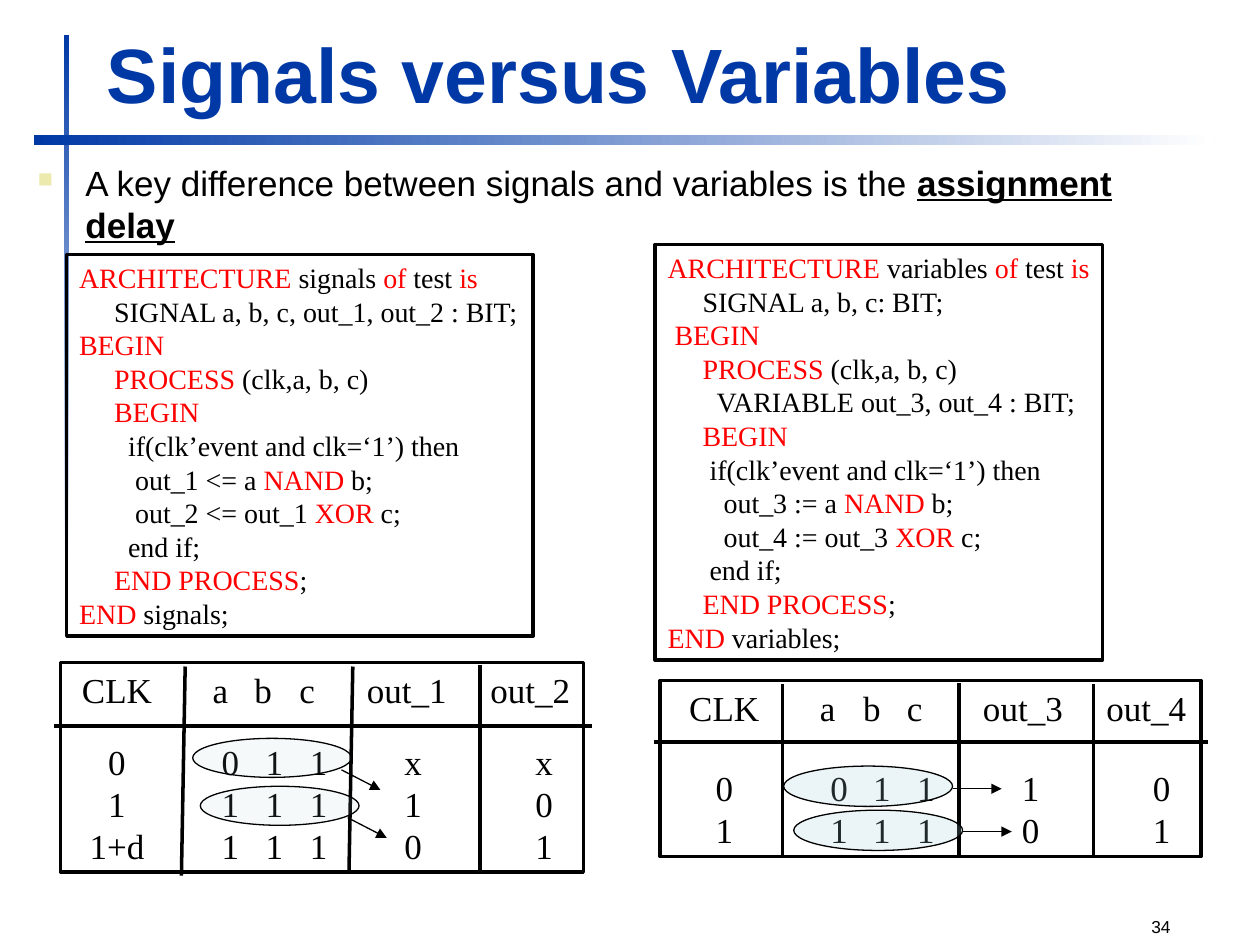
from dataclasses import dataclass

from lxml import etree
from pptx import Presentation
from pptx.dml.color import RGBColor
from pptx.enum.shapes import MSO_CONNECTOR, MSO_SHAPE
from pptx.enum.text import MSO_ANCHOR, PP_ALIGN
from pptx.oxml.ns import qn
from pptx.util import Inches, Pt

RECT, OVAL = MSO_SHAPE.RECTANGLE, MSO_SHAPE.OVAL
STRAIGHT = MSO_CONNECTOR.STRAIGHT
TOP, BOTTOM, LEFT = MSO_ANCHOR.TOP, MSO_ANCHOR.BOTTOM, PP_ALIGN.LEFT
COLORS = {"blue": "0039A6", "white": "FFFFFF", "black": "000000",
          "red": "FF0000", "bullet": "ECEAAC", "oval": "9FCAD3"}
SANS, SERIF = "Arial", "Times New Roman"
Box = tuple[float, float, float, float]
Line = tuple[float, float, float, float]


@dataclass
class CodeBox:
    box: Box
    lines: list[tuple[int, str]]  # indent in spaces, text with *keywords*


@dataclass
class TruthTable:
    box: Box
    head_stops: list[float]
    row_stops: list[float]
    rows: list[str]
    gap: float
    rules: list[Line]


@dataclass
class Highlight:
    oval: Box
    opacity: int
    arrow: Line


CODE_BOXES = [
    CodeBox((0.53, 2.02, 3.7, 3.03), [
        (0, "*ARCHITECTURE* signals *of* test *is*"),
        (5, "SIGNAL a, b, c, out_1, out_2 : BIT;"),
        (0, "*BEGIN*"),
        (5, "*PROCESS* (clk,a, b, c)"),
        (5, "*BEGIN*"),
        (7, "if(clk’event and clk=‘1’) then"),
        (8, "out_1 <= a *NAND* b;"),
        (8, "out_2 <= out_1 *XOR* c;"),
        (7, "end if;"),
        (5, "*END PROCESS*;"),
        (0, "*END* signals;")]),
    CodeBox((5.2, 1.94, 3.55, 3.3), [
        (0, "*ARCHITECTURE* variables *of* test *is*"),
        (5, "SIGNAL a, b, c: BIT;"),
        (1, "*BEGIN*"),
        (5, "*PROCESS* (clk,a, b, c)"),
        (7, "VARIABLE out_3, out_4 : BIT;"),
        (5, "*BEGIN*"),
        (6, "if(clk’event and clk=‘1’) then"),
        (8, "out_3 := a *NAND* b;"),
        (8, "out_4 := out_3 *XOR* c;"),
        (6, "end if;"),
        (5, "*END PROCESS*;"),
        (0, "*END* variables;")]),
]

TRUTH_TABLES = [
    TruthTable((0.48, 5.26, 4.15, 1.66),
               [0.35, 1.17, 1.51, 1.86, 2.65, 3.63],
               [0.35, 1.25, 1.6, 1.95, 2.7, 3.74],
               ["CLK a b c out_1 out_2", "0 0 1 1 x x", "1 1 1 1 1 0", "1+d 1 1 1 0 1"], 16.8,
               [(1.47, 5.29, 1.44, 6.95), (2.8, 5.29, 2.77, 6.92),
                (3.81, 5.28, 3.81, 6.94), (0.43, 5.76, 4.7, 5.76)]),
    TruthTable((5.24, 5.4, 4.29, 1.4),
               [0.41, 1.23, 1.58, 1.92, 2.78, 3.76],
               [0.41, 1.32, 1.66, 2.01, 2.84, 3.88],
               ["CLK a b c out_3 out_4", "0 0 1 1 1 0", "1 1 1 1 0 1"], 21.6,
               [(6.21, 5.43, 6.21, 6.79), (7.61, 5.42, 7.61, 6.79),
                (8.68, 5.43, 8.68, 6.79), (5.19, 5.89, 9.59, 5.89)]),
]

HIGHLIGHTS = [
    Highlight((1.53, 5.86, 1.26, 0.31), 10, (2.71, 6.11, 3.02, 6.27)),
    Highlight((6.22, 6.08, 1.34, 0.32), 20, (7.56, 6.26, 7.95, 6.26)),
    Highlight((1.59, 6.24, 1.26, 0.31), 10, (2.76, 6.49, 3.07, 6.65)),
    Highlight((6.3, 6.43, 1.34, 0.32), 20, (7.64, 6.6, 8.03, 6.6)),
]


def rgb(name: str) -> RGBColor:
    return RGBColor.from_string(COLORS[name])


def add_run(p, text: str, color: str, **font) -> None:
    r = p.add_run()
    r.text = text
    for name, value in font.items():
        setattr(r.font, name, value)
    r.font.color.rgb = rgb(color)


def add_shape(s, kind, box: Box, width: float = 0):
    sp = s.shapes.add_shape(kind, *map(Inches, box))
    sp.shadow.inherit = False
    sp.fill.background()
    if width:
        sp.line.color.rgb, sp.line.width = rgb("black"), Pt(width)
    else:
        sp.line.fill.background()
    return sp


def add_text(s, box: Box, anchor=TOP):
    tf = s.shapes.add_textbox(*map(Inches, box)).text_frame
    tf.word_wrap, tf.vertical_anchor = True, anchor
    return tf.paragraphs[0]


def add_bar(s, box: Box, angle: int) -> None:
    sp = add_shape(s, RECT, box)
    sp.fill.gradient()
    sp.fill.gradient_angle = angle
    for stop, color, pos in zip(sp.fill.gradient_stops, ("blue", "white"), (0, 1)):
        stop.color.rgb, stop.position = rgb(color), pos


def add_line(s, ends: Line, width: float, arrow: bool = False) -> None:
    c = s.shapes.add_connector(STRAIGHT, *map(Inches, ends))
    c.line.color.rgb, c.line.width = rgb("black"), Pt(width)
    if arrow:
        etree.SubElement(c.line._get_or_add_ln(), qn("a:tailEnd"), type="triangle")
    etree.SubElement(c._element.spPr, qn("a:effectLst"))


def framed_paragraphs(s, box: Box, count: int, wrap: bool, pitch: float) -> list:
    tf = add_shape(s, RECT, box, 2).text_frame
    tf.word_wrap, tf.vertical_anchor = wrap, TOP
    paras = [tf.paragraphs[0]] + [tf.add_paragraph() for _ in range(count - 1)]
    for p in paras:
        p.alignment, p.line_spacing = LEFT, Pt(pitch)
    return paras


def add_code(s, code: CodeBox) -> None:
    paras = framed_paragraphs(s, code.box, len(code.lines), False, 19.2)
    for p, (indent, text) in zip(paras, code.lines):
        p._p.get_or_add_pPr().set("marL", str(Inches(indent / 18)))
        for i, part in enumerate(text.split("*")):
            if part:
                add_run(p, part, "red" if i % 2 else "black", name=SERIF, size=Pt(16))


def add_truth_table(s, table: TruthTable) -> None:
    paras = framed_paragraphs(s, table.box, len(table.rows), True, 24)
    paras[1].space_before = Pt(table.gap)
    for i, (p, row) in enumerate(zip(paras, table.rows)):
        tabs = etree.SubElement(p._p.get_or_add_pPr(), qn("a:tabLst"))
        for stop in table.row_stops if i else table.head_stops:
            etree.SubElement(tabs, qn("a:tab"), pos=str(Inches(stop)), algn="ctr")
        text = "".join("\t" + cell for cell in row.split())
        add_run(p, text, "black", name=SERIF, size=Pt(20))
    for rule in table.rules:
        add_line(s, rule, 2)


def add_highlight(s, h: Highlight) -> None:
    sp = add_shape(s, OVAL, h.oval, 0.75)
    sp.fill.solid()
    sp.fill.fore_color.rgb = rgb("oval")
    clr = sp._element.spPr.find(qn("a:solidFill")).find(qn("a:srgbClr"))
    etree.SubElement(clr, qn("a:alpha"), val=str(h.opacity * 1000))
    add_line(s, h.arrow, 0.75, arrow=True)


def add_key_point(s) -> None:
    p = add_text(s, (0.2, 1.23, 9, 0.8))
    p.space_before, p.line_spacing = Pt(5), Pt(24)
    pPr = p._p.get_or_add_pPr()
    pPr.set("marL", str(Inches(0.38)))
    pPr.set("indent", str(Inches(-0.38)))
    clr = etree.SubElement(pPr, qn("a:buClr"))
    etree.SubElement(clr, qn("a:srgbClr"), val=COLORS["bullet"])
    etree.SubElement(pPr, qn("a:buSzPct"), val="60000")
    etree.SubElement(pPr, qn("a:buChar"), char="■")
    font = {"name": SANS, "size": Pt(20)}
    add_run(p, "A key difference between signals and variables is the ", "black", **font)
    add_run(p, "assignment delay", "black", bold=True, underline=True, **font)


def main() -> None:
    prs = Presentation()
    prs.slide_width, prs.slide_height = Inches(10), Inches(7.5)
    s = prs.slides.add_slide(prs.slide_layouts[6])
    # Gradient bars, page number, title and key point
    add_bar(s, (0.51, 0.28, 0.04, 4.17), 270)
    add_bar(s, (0.27, 1.07, 9.37, 0.08), 0)
    add_run(add_text(s, (9.04, 7.22, 0.96, 0.28)), "34", "black", name=SANS, size=Pt(9.9))
    add_run(add_text(s, (0.75, 0.16, 9.03, 0.83), BOTTOM), "Signals versus Variables",
            "blue", name=SANS, size=Pt(44), bold=True)
    add_key_point(s)
    # Code listings, truth tables and highlighted inputs
    for code, table in zip(CODE_BOXES, TRUTH_TABLES):
        add_code(s, code)
        add_truth_table(s, table)
    for h in HIGHLIGHTS:
        add_highlight(s, h)
    prs.save("out.pptx")


if __name__ == "__main__":
    main()
